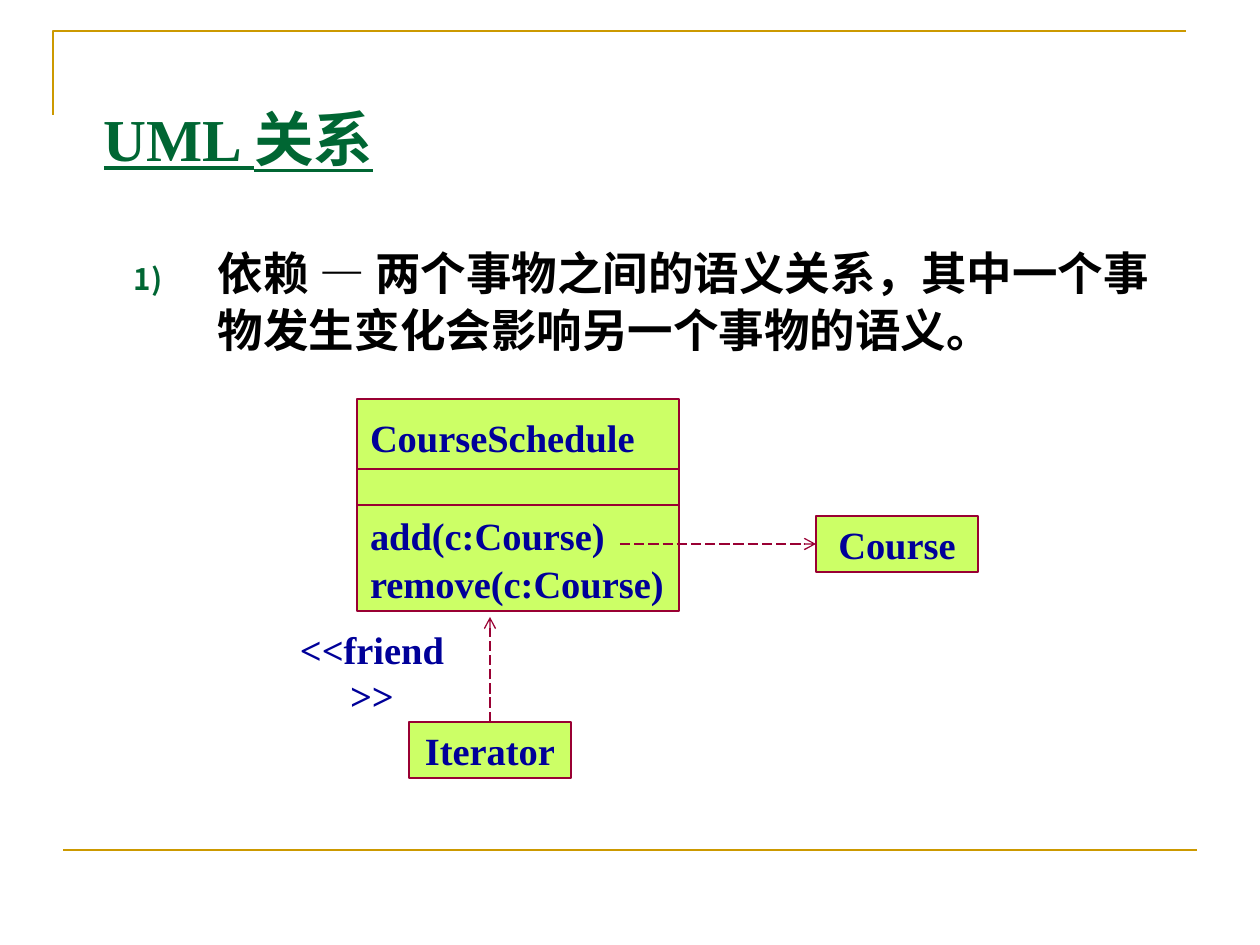
from dataclasses import dataclass

from lxml.etree import SubElement
from pptx import Presentation
from pptx.dml.color import RGBColor as Color
from pptx.enum.dml import MSO_LINE_DASH_STYLE as Dash
from pptx.enum.shapes import MSO_CONNECTOR as Connector, MSO_SHAPE as Shape
from pptx.enum.text import MSO_ANCHOR as Anchor, PP_ALIGN as Align
from pptx.oxml.ns import qn
from pptx.util import Emu, Pt

SCALE = 914400 / 126


@dataclass(frozen=True)
class Theme:
    gold: str = "CC9900"
    green: str = "006633"
    black: str = "000000"
    navy: str = "000099"
    lime: str = "CCFF66"
    wine: str = "990033"
    serif: str = "Times New Roman"
    sans: str = "Arial"
    title: int = 34
    body: int = 26
    label: int = 22
    frame_line: float = 1.5
    diagram_line: float = 0.75


THEME = Theme()


def px(value):
    return Emu(round(value * SCALE))


def rgb(value):
    return Color.from_string(value)


def set_line(item, color, width):
    item.line.color.rgb = rgb(color)
    item.line.width = Pt(width)


def add_span(para, text, size, color, font=THEME.serif, underline=None):
    span = para.add_run()
    span.text = text
    span.font.name = font
    span.font.size = Pt(size)
    span.font.bold = True
    span.font.underline = underline
    span.font.color.rgb = rgb(color)


def set_frame(box, anchor, inset=6, wrap=False):
    frame = box.text_frame
    frame.word_wrap = wrap
    frame.vertical_anchor = anchor
    frame.margin_left = frame.margin_right = px(13)
    frame.margin_top = frame.margin_bottom = px(inset)
    return frame


def add_line(shapes, start, end, color=THEME.wine, width=THEME.diagram_line):
    line = shapes.add_connector(Connector.STRAIGHT, *map(px, start + end))
    set_line(line, color, width)
    SubElement(line._element.spPr, qn("a:effectLst"))
    return line


def add_dependency(shapes, start, end):
    line = add_line(shapes, start, end)
    line.line.dash_style = Dash.LONG_DASH
    SubElement(line.line._get_or_add_ln(), qn("a:tailEnd"), type="arrow")
    return line


def add_rectangle(shapes, *bounds):
    box = shapes.add_shape(Shape.RECTANGLE, *map(px, bounds))
    box.shadow.inherit = False
    box.fill.solid()
    box.fill.fore_color.rgb = rgb(THEME.lime)
    set_line(box, THEME.wine, THEME.diagram_line)
    return box


def write_label(box, text):
    para = set_frame(box, Anchor.MIDDLE).paragraphs[0]
    para.alignment = Align.CENTER
    add_span(para, text, THEME.label, THEME.navy)


def add_simple_class(shapes, name, left, top):
    box = add_rectangle(shapes, left, top, 162, 56)
    write_label(box, name)
    return box


def add_detailed_class(shapes, name, methods, left, top, width, height):
    box = add_rectangle(shapes, left, top, width, height)
    frame = set_frame(box, Anchor.TOP, inset=13)
    for index, text in enumerate([name, *methods]):
        para = frame.add_paragraph() if index else frame.paragraphs[0]
        para.alignment = Align.LEFT
        para.line_spacing = 1.05
        if index == 1:
            para.space_before = Pt(28)
        add_span(para, text, THEME.label, THEME.navy)
    for offset in (70, 106):
        add_line(shapes, (left, top + offset), (left + width, top + offset))


def add_page_frame(page):
    builder = page.shapes.build_freeform(53, 115, scale=SCALE)
    builder.add_line_segments([(53, 31), (1186, 31)], close=False)
    corner = builder.convert_to_shape()
    corner.shadow.inherit = False
    corner.fill.background()
    set_line(corner, THEME.gold, THEME.frame_line)
    add_line(page.shapes, (63, 850), (1197, 850), THEME.gold, THEME.frame_line)


def add_title(page, text):
    box = page.shapes.add_textbox(*map(px, (91, 92, 1051, 91)))
    para = set_frame(box, Anchor.MIDDLE, wrap=True).paragraphs[0]
    add_span(para, text, THEME.title, THEME.green, underline=True)


def add_numbered_text(page, text):
    box = page.shapes.add_textbox(*map(px, (121, 236, 1055, 159)))
    para = set_frame(box, Anchor.TOP, wrap=True).paragraphs[0]
    para.line_spacing = 1.05
    props = para._p.get_or_add_pPr()
    props.set("marL", str(px(84)))
    props.set("indent", str(px(-84)))
    bullet_color = SubElement(props, qn("a:buClr"))
    SubElement(bullet_color, qn("a:srgbClr"), val=THEME.green)
    SubElement(props, qn("a:buSzPct"), val="65000")
    SubElement(props, qn("a:buFont"), typeface=THEME.sans)
    SubElement(props, qn("a:buAutoNum"), type="arabicParenR")
    add_span(para, text, THEME.body, THEME.black, THEME.sans)


def add_diagram(page):
    shapes = page.shapes.add_group_shape().shapes
    add_detailed_class(shapes, "CourseSchedule",
                       ["add(c:Course)", "remove(c:Course)"],
                       357, 399, 322, 212)
    course = add_simple_class(shapes, "Course", 816, 516)
    iterator = add_simple_class(shapes, "Iterator", 409, 722)
    add_dependency(shapes, (620, 544), (816, 544)).end_connect(course, 1)
    add_dependency(shapes, (490, 722), (490, 617)).begin_connect(iterator, 0)
    friend = shapes.add_textbox(*map(px, (278, 644, 188, 56)))
    write_label(friend, "<<friend>>")


def main():
    deck = Presentation()
    deck.slide_width, deck.slide_height = px(1260), px(945)
    page = deck.slides.add_slide(deck.slide_layouts[6])
    add_page_frame(page)
    add_title(page, "UML 关系")
    add_numbered_text(page, "依赖 — 两个事物之间的语义关系，其中一个事物发生变化会影响另一个事物的语义。")
    add_diagram(page)
    deck.save("out.pptx")


if __name__ == "__main__":
    main()
